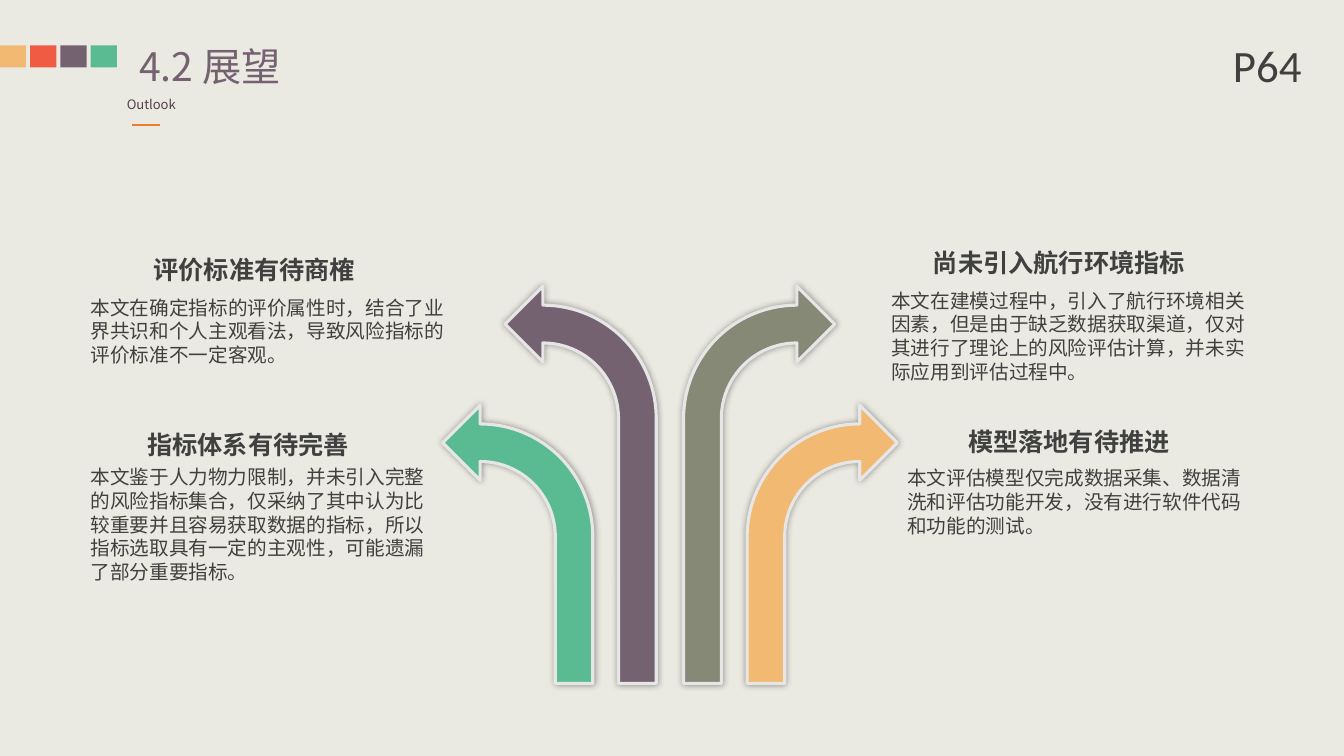
from lxml import etree
from pptx import Presentation
from pptx.dml.color import RGBColor
from pptx.enum.shapes import MSO_CONNECTOR, MSO_SHAPE
from pptx.enum.text import PP_ALIGN
from pptx.oxml.ns import qn
from pptx.util import Inches, Pt

LEFT, RIGHT = PP_ALIGN.LEFT, PP_ALIGN.RIGHT
RECTANGLE, BENT_ARROW = MSO_SHAPE.RECTANGLE, MSO_SHAPE.BENT_ARROW
STRAIGHT = MSO_CONNECTOR.STRAIGHT

COLORS = {
    "page": "EBEAE2", "sand": "F2B973", "red": "EF5B43", "plum": "756271",
    "green": "5ABB93", "olive": "858976", "outline": "E7E6E6",
    "rule": "ED7D31", "subtitle": "543C4F", "text": "404040", "shadow": "000000",
}
CJK_FONT, NUMBER_FONT = "Noto Sans CJK SC", "Calibri"
ARROW_BOTTOM = 90.4

# Heading, its box (left, top, width, wrap), text, its box (left, top, width, height)
NOTES = [
    ("指标体系有待完善", (10.05, 56, 16.65, False),
     "本文鉴于人力物力限制，并未引入完整的风险指标集合，仅采纳了其中认为比较重要并且容易获取数据的指标，"
     "所以指标选取具有一定的主观性，可能遗漏了部分重要指标。", (6, 60.8, 26.93, 17.07)),
    ("评价标准有待商榷", (9.53, 32.93, 17.63, True),
     "本文在确定指标的评价属性时，结合了业界共识和个人主观看法，导致风险指标的评价标准不一定客观。",
     (6, 38.4, 28.58, 10.8)),
    ("尚未引入航行环境指标", (66.77, 32, 22.13, True),
     "本文在建模过程中，引入了航行环境相关因素，但是由于缺乏数据获取渠道，仅对其进行了理论上的风险评估计算，"
     "并未实际应用到评估过程中。", (65.57, 37.47, 28.06, 13.87)),
    ("模型落地有待推进", (71.27, 55.6, 16.5, True),
     "本文评估模型仅完成数据采集、数据清洗和评估功能开发，没有进行软件代码和功能的测试。",
     (66.77, 60.93, 26.78, 10.8)),
]

# Left, top, width, color, whether it points left
ARROWS = [
    (55.59, 53.6, 11.18, "sand", False),
    (32.93, 53.6, 11.18, "green", True),
    (37.58, 37.87, 11.25, "plum", True),
    (50.86, 37.87, 11.25, "olive", False),
]


def rgb(name):
    return RGBColor.from_string(COLORS[name])


class Page:
    """Draws on one slide; lengths are percentages of its width and height."""

    def __init__(self, deck):
        self.width, self.height = deck.slide_width, deck.slide_height
        self.slide = deck.slides.add_slide(deck.slide_layouts[6])
        background = self.slide.background.fill
        background.solid()
        background.fore_color.rgb = rgb("page")

    def scale(self, left, top, width, height):
        return (int(self.width * left / 100), int(self.height * top / 100),
                int(self.width * width / 100), int(self.height * height / 100))

    def shape(self, kind, area, color):
        shape = self.slide.shapes.add_shape(kind, *self.scale(*area))
        shape.shadow.inherit = False
        shape.fill.solid()
        shape.fill.fore_color.rgb = rgb(color)
        shape.line.fill.background()
        return shape

    def arrow(self, left, top, width, color, points_left):
        area = (left, top, width, ARROW_BOTTOM - top)
        arrow = self.shape(BENT_ARROW, area, color)
        for index, share in enumerate((0.25, 0.25, 0.25, 0.75)):
            arrow.adjustments[index] = share
        arrow.line.color.rgb = rgb("outline")
        arrow.line.width = Pt(2.25)
        properties = arrow._element.spPr
        if points_left:
            properties.find(qn("a:xfrm")).set("flipH", "1")
        effects = properties.find(qn("a:effectLst"))
        glow = etree.SubElement(effects, qn("a:outerShdw"), blurRad=str(Pt(5)), dist="0")
        tint = etree.SubElement(glow, qn("a:srgbClr"), val=COLORS["shadow"])
        etree.SubElement(tint, qn("a:alpha"), val="40000")

    def rule(self, start, end, top, color):
        left, y, right, _ = self.scale(start, top, end, 0)
        rule = self.slide.shapes.add_connector(STRAIGHT, left, y, right, y)
        rule.line.color.rgb = rgb(color)
        rule.line.width = Pt(1.5)
        etree.SubElement(rule._element.spPr, qn("a:effectLst"))

    def text(self, words, area, size, color="text", spacing=None, font=CJK_FONT,
             bold=False, align=LEFT, wrap=True, inset=True):
        box = self.slide.shapes.add_textbox(*self.scale(*area))
        frame = box.text_frame
        frame.word_wrap = wrap
        if not inset:
            frame.margin_left = frame.margin_right = 0
            frame.margin_top = frame.margin_bottom = 0
        frame.text = words
        para = frame.paragraphs[0]
        para.alignment = align
        if spacing:
            para.line_spacing = Pt(spacing)
        span = para.runs[0]
        span.font.name = font
        span.font.size = Pt(size)
        span.font.bold = bold
        span.font.color.rgb = rgb(color)
        etree.SubElement(span.font._element, qn("a:ea"), typeface=font)

    def note(self, heading, heading_area, words, area):
        left, top, width, wrap = heading_area
        self.text(heading, (left, top, width, 5.33), 18, spacing=22,
                  bold=True, align=RIGHT, wrap=wrap)
        self.text(words, area, 14, spacing=17)


def main():
    deck = Presentation()
    deck.slide_width, deck.slide_height = Inches(13.33), Inches(7.5)
    page = Page(deck)
    for index, color in enumerate(("sand", "red", "plum", "green")):
        page.shape(RECTANGLE, (2.25 * index, 6, 1.95, 2.93), color)
    page.text("Outlook", (8.7, 12.13, 5.33, 3.47), 9.3, "subtitle", spacing=11.2, wrap=False)
    page.rule(9.83, 11.93, 16.53, "rule")
    page.text("4.2 展望", (10.35, 5.2, 29.93, 6.27), 28, "plum", spacing=36, inset=False)
    for arrow in ARROWS:
        page.arrow(*arrow)
    for note in NOTES:
        page.note(*note)
    page.text("P64", (91, 4.27, 6.9, 8.53), 32, font=NUMBER_FONT)
    deck.save("out.pptx")


if __name__ == "__main__":
    main()
